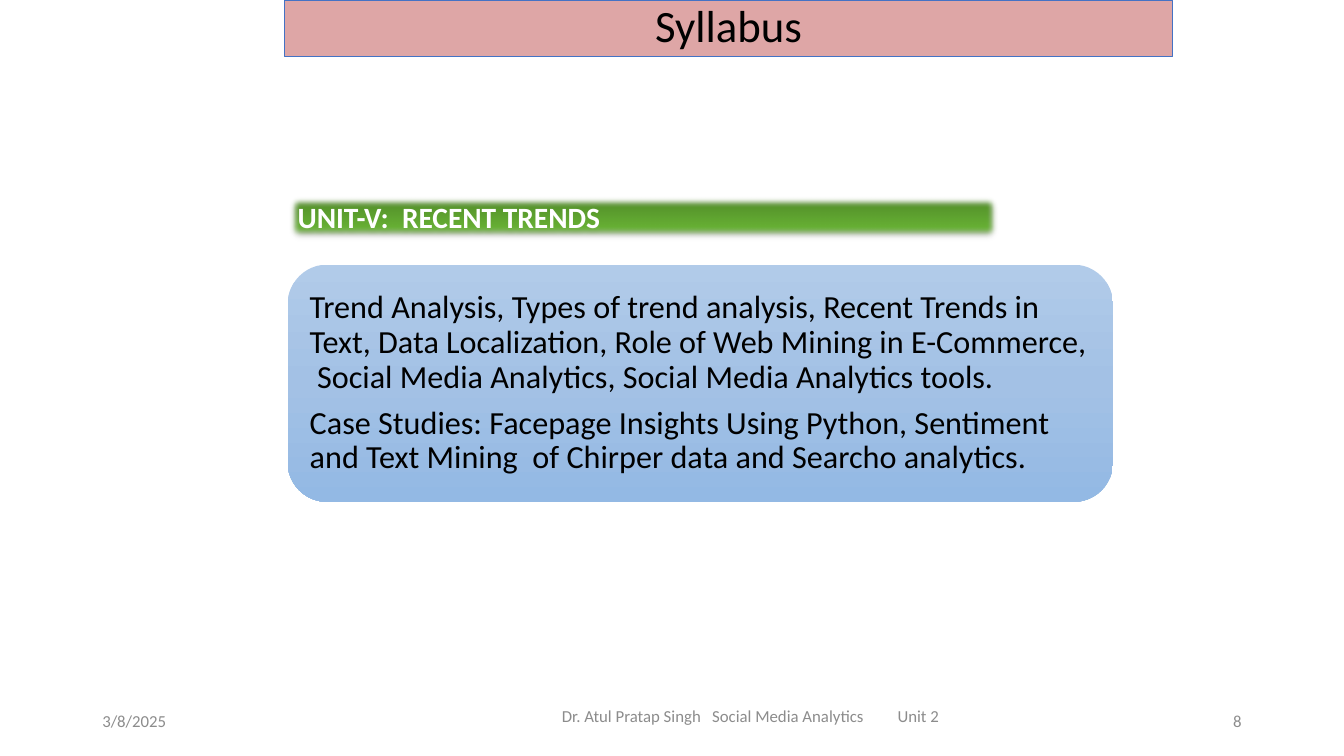
from lxml import etree
from pptx import Presentation
from pptx.dml.color import RGBColor
from pptx.enum.shapes import MSO_SHAPE
from pptx.enum.text import MSO_ANCHOR, PP_ALIGN
from pptx.oxml import parse_xml
from pptx.oxml.ns import nsdecls, qn
from pptx.util import Pt

PX = 9525
FONT = "Calibri"
BLACK = RGBColor(0x00, 0x00, 0x00)
WHITE = RGBColor(0xFF, 0xFF, 0xFF)
GREY = RGBColor(0x8C, 0x8C, 0x8C)
PINK = RGBColor(0xDE, 0xA6, 0xA6)
BLUE = RGBColor(0x44, 0x72, 0xC4)
GREENS = [(0, RGBColor(0x4D, 0x85, 0x27)), (80, RGBColor(0x6A, 0xB6, 0x36)),
          (100, RGBColor(0x6A, 0xBA, 0x34))]
BLUES = [(0, RGBColor(0xB1, 0xCB, 0xE9)), (50, RGBColor(0xA3, 0xC1, 0xE5)),
         (100, RGBColor(0x93, 0xB9, 0xE4))]
LEFT, CENTER, RIGHT, JUSTIFY = PP_ALIGN.LEFT, PP_ALIGN.CENTER, PP_ALIGN.RIGHT, PP_ALIGN.JUSTIFY
TOP, MIDDLE = MSO_ANCHOR.TOP, MSO_ANCHOR.MIDDLE
RECTANGLE, ROUNDED = MSO_SHAPE.RECTANGLE, MSO_SHAPE.ROUNDED_RECTANGLE


def write(shape, text, size, color, align, anchor, bold=False):
    frame = shape.text_frame
    frame.word_wrap = True
    frame.vertical_anchor = anchor
    frame.text = text
    for para in frame.paragraphs:
        para.alignment = align
        for span in para.runs:
            span.font.name = FONT
            span.font.size = Pt(size)
            span.font.bold = bold
            span.font.color.rgb = color


def shade(shape, stops):
    shape.fill.gradient()
    shape.fill.gradient_angle = 270
    stop_list = shape._element.spPr.find(qn("a:gradFill")).find(qn("a:gsLst"))
    for old in list(stop_list):
        stop_list.remove(old)
    for percent, color in stops:
        stop = etree.SubElement(stop_list, qn("a:gs"), pos=str(percent * 1000))
        etree.SubElement(stop, qn("a:srgbClr"), val=str(color))


deck = Presentation()
deck.slide_width = 1280 * PX
deck.slide_height = 720 * PX
page = deck.slides.add_slide(deck.slide_layouts[6])

footers = [
    ("3/8/2025", 88, 288, 38, LEFT),
    ("Dr. Atul Pratap Singh   Social Media Analytics         Unit 2", 502, 426, 29, CENTER),
    ("8", 904, 288, 38, RIGHT),
]
for text, left, width, height, align in footers:
    footer = page.shapes.add_textbox(left * PX, 667 * PX, width * PX, height * PX)
    write(footer, text, 12, GREY, align, MIDDLE)

title = page.shapes.add_shape(RECTANGLE, 271 * PX, 0, 846 * PX, 54 * PX)
title.shadow.inherit = False
title.fill.solid()
title.fill.fore_color.rgb = PINK
title.line.color.rgb = BLUE
title.line.width = Pt(0.5)
write(title, "Syllabus", 32, BLACK, CENTER, MIDDLE)
title.text_frame.paragraphs[0].line_spacing = 0.9

unit = page.shapes.add_shape(RECTANGLE, 274 * PX, 185 * PX, 678 * PX, 43 * PX)
unit.shadow.inherit = False
unit.line.fill.background()
shade(unit, GREENS)
effects = unit._element.spPr.find(qn("a:effectLst"))
effects.append(parse_xml(
    f'<a:outerShdw {nsdecls("a")} blurRad="40000" dist="23000" dir="5400000" rotWithShape="0">'
    '<a:srgbClr val="000000"><a:alpha val="35000"/></a:srgbClr></a:outerShdw>'))
etree.SubElement(effects, qn("a:softEdge"), rad="63500")
write(unit, "UNIT-V:  RECENT TRENDS", 21, WHITE, JUSTIFY, TOP, bold=True)

panel = page.shapes.add_shape(ROUNDED, 274 * PX, 252 * PX, 786 * PX, 226 * PX)
panel.shadow.inherit = False
panel.line.fill.background()
shade(panel, BLUES)

topics = page.shapes.add_textbox(285 * PX, 263 * PX, 764 * PX, 204 * PX)
write(topics,
      "Trend Analysis, Types of trend analysis, Recent Trends in Text, Data Localization, "
      "Role of Web Mining in E-Commerce,  Social Media Analytics, Social Media Analytics tools.\n"
      "Case Studies: Facepage Insights Using Python, Sentiment and Text Mining  of "
      "Chirper data and Searcho analytics.",
      23, BLACK, LEFT, MIDDLE)
frame = topics.text_frame
frame.margin_left = frame.margin_right = frame.margin_top = frame.margin_bottom = 10 * PX
for para in frame.paragraphs:
    para.line_spacing = 0.9
    para.space_after = Pt(8)

deck.save("out.pptx")
